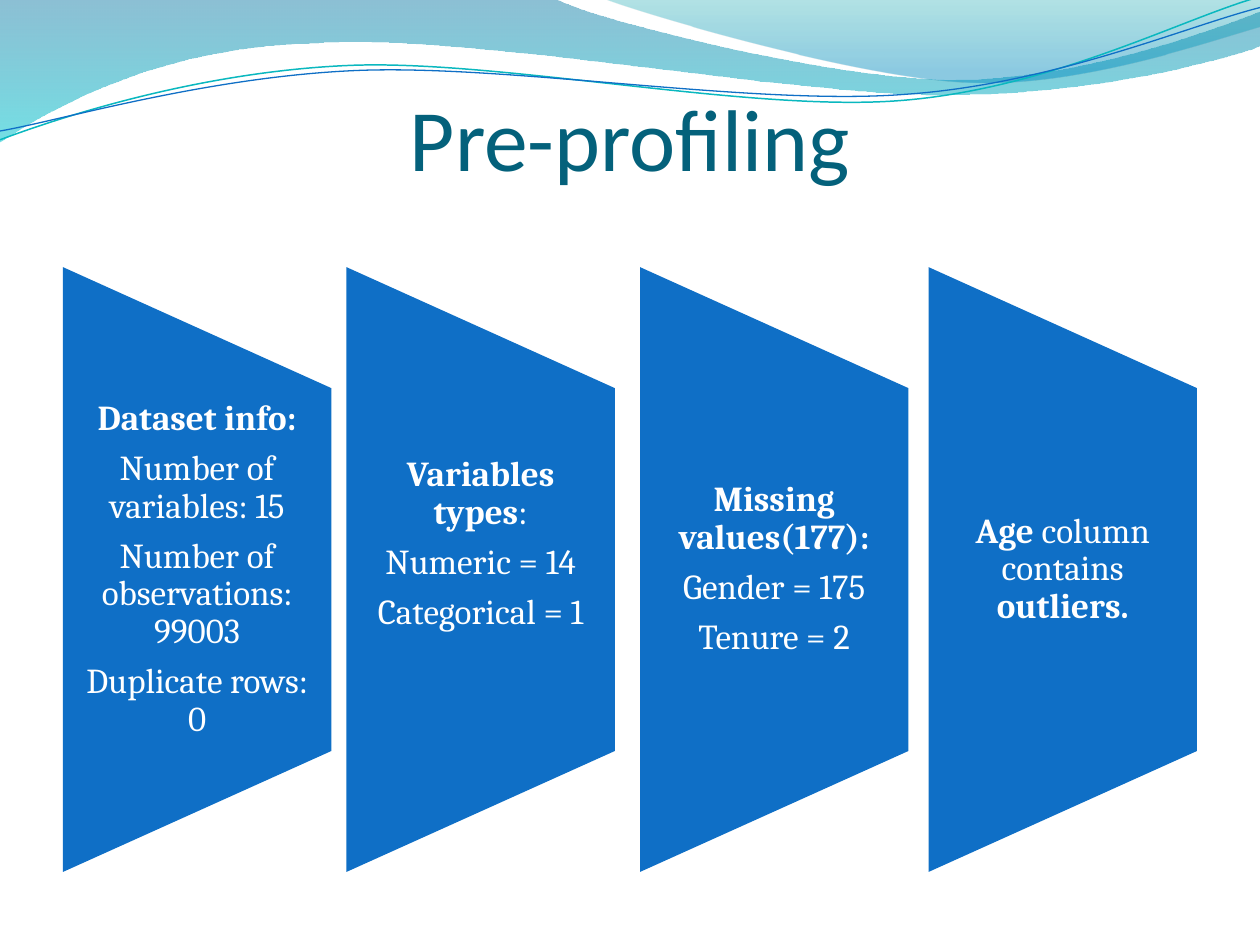
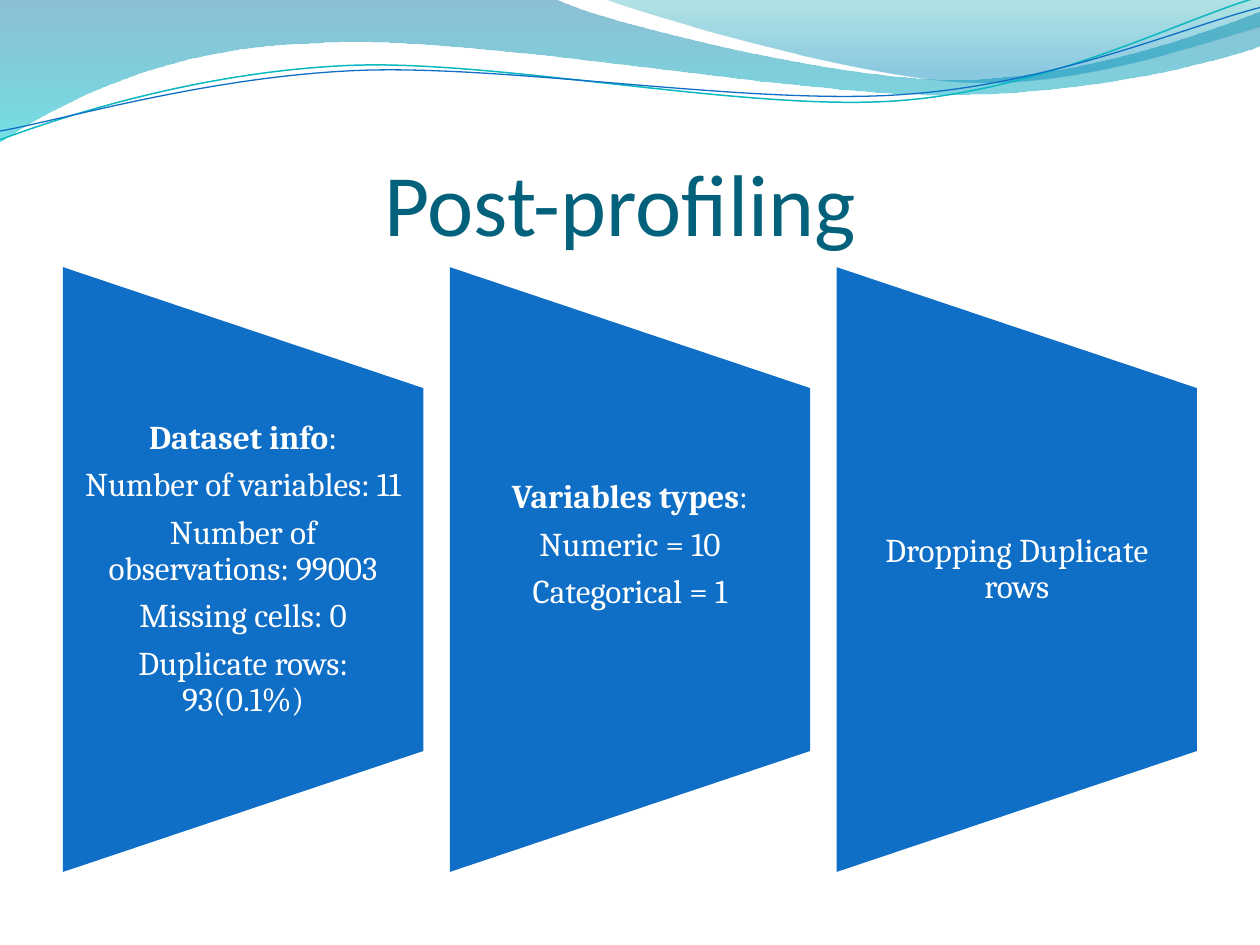
from lxml import etree
from pptx import Presentation
from pptx import util as u
from pptx.dml.color import RGBColor
from pptx.enum import shapes, text
from pptx.oxml.ns import qn

BLUE, TEAL, WHITE = "0F6FC6", "04617B", "FFFFFF"


def rgb(value):
    return RGBColor.from_string(value)


def write(tf, lines, size, font, color, spacing=1.0, after=0, anchor=text.MSO_ANCHOR.MIDDLE,
          insets=(0, 0, 0, 0)):
    """Write centred paragraphs; words between asterisks are bold."""
    tf.word_wrap = True
    tf.auto_size = text.MSO_AUTO_SIZE.NONE
    tf.vertical_anchor = anchor
    tf.margin_left, tf.margin_top, tf.margin_right, tf.margin_bottom = map(u.Inches, insets)
    for i, line in enumerate(lines):
        p = tf.paragraphs[0] if i == 0 else tf.add_paragraph()
        p.alignment = text.PP_ALIGN.CENTER
        p.line_spacing = spacing
        p.space_before, p.space_after = u.Pt(0), u.Pt(after)
        for j, part in enumerate(line.split("*")):
            if part:
                r = p.add_run()
                r.text = part
                r.font.size, r.font.name, r.font.bold = u.Pt(size), font, j % 2 == 1
                r.font.color.rgb = rgb(color)


prs = Presentation()
prs.slide_width, prs.slide_height = u.Inches(10), u.Inches(7.5)
layout = prs.slide_layouts[5]

# Header waves: start point, then curves (three points) and lines (one point)
waves = [
    dict(start=(0, 0), stops=[(0, "0074A1", 45), (1, "00C6CF", 55)], parts=[
        [(4.4, -0.01)],
        [(4.76, 0.17), (6.64, 0.63), (7.58, 0.63)],
        [(8.53, 0.63), (9.58, 0.26), (10, 0.09)],
        [(10.01, 0.36)],
        [(9.83, 0.44), (8.7, 0.76), (7.46, 0.75)],
        [(6.22, 0.75), (3.82, 0.28), (2.57, 0.34)],
        [(1.29, 0.36), (0.46, 0.83), (-0.01, 1.13)],
        [(0, 0)]]),
    dict(start=(4.79, -0.01), stops=[(0, "00A1A9", 30), (0.8, "008BBF", 45)], parts=[
        [(5.09, 0.11), (6.82, 0.62), (7.69, 0.65)],
        [(8.56, 0.69), (9.61, 0.32), (10, 0.21)],
        [(10, 0)],
        [(4.79, -0.01)]]),
    dict(start=(0, 1.11), line=("0AB8BF", 0.85), parts=[
        [(0.48, 0.93), (1.58, 0.57), (2.77, 0.52)],
        [(3.95, 0.47), (5.93, 0.89), (7.13, 0.8)],
        [(8.33, 0.71), (9.38, 0.15), (9.98, -0.02)]]),
    dict(start=(0, 1.04), line=(BLUE, 0.75), parts=[
        [(0.47, 0.96), (1.64, 0.61), (2.83, 0.56)],
        [(4.03, 0.51), (5.97, 0.84), (7.17, 0.75)],
        [(8.36, 0.67), (9.41, 0.21), (10, 0.06)]]),
]

# Slide contents: column left edges, width, text size and side inset
pages = [
    dict(title="Pre-profiling", title_top=0.25, lefts=[0.5, 2.75, 5.08, 7.37], width=2.13,
         size=20, inset=0.14, columns=[
             ["*Dataset info:*", "Number of variables: 15", "Number of observations: 99003",
              "Duplicate rows: 0"],
             ["*Variables types*:", "Numeric = 14", "Categorical = 1"],
             ["*Missing values(177):*", "Gender = 175", "Tenure = 2"],
             ["*Age* column contains *outliers.*"]]),
    dict(title="Post-profiling ", title_top=0.77, lefts=[0.5 + 3.07 * i for i in range(3)],
         width=2.86, size=19, inset=0.13, columns=[
             ["*Dataset info*:", "Number of variables: 11", "Number of observations: 99003",
              "Missing cells: 0", "Duplicate rows: 93(0.1%)"],
             ["*Variables types*:", "Numeric = 10", "Categorical = 1"],
             ["Dropping Duplicate rows"]]),
]
slides = [prs.slides.add_slide(layout) for page in pages]

# Draw the waves once and move them to the shared layout
for i, wave in enumerate(waves):
    points = [(u.Inches(x), u.Inches(y)) for x, y in [wave["start"], *sum(wave["parts"], [])]]
    builder = slides[0].shapes.build_freeform(*points[0])
    builder.add_line_segments(points[1:], close="stops" in wave)
    sp = builder.convert_to_shape()

    # Join each three points of a curve into one Bezier segment
    segments = iter(list(sp.element.iter(qn("a:lnTo"))))
    for part in wave["parts"]:
        first, *others = [next(segments) for _ in part]
        if others:
            first.tag = qn("a:cubicBezTo")
        for segment in others:
            first.append(segment[0])
            segment.getparent().remove(segment)

    sp.shadow.inherit = False
    if "stops" in wave:
        sp.line.fill.background()
        sp.fill.gradient()
        sp.fill.gradient_angle = 270
        for stop, (position, color, _) in zip(sp.fill.gradient_stops, wave["stops"]):
            stop.position, stop.color.rgb = position, rgb(color)
        for clr, (_, _, alpha) in zip(sp.element.iter(qn("a:srgbClr")), wave["stops"]):
            etree.SubElement(clr, qn("a:alpha")).set("val", str(alpha * 1000))
    else:
        color, width = wave["line"]
        sp.fill.background()
        sp.line.color.rgb, sp.line.width = rgb(color), u.Pt(width)
    sp.element.nvSpPr.cNvPr.set("id", str(100 + i))
    layout.shapes.element.insert(2 + i, sp.element)

for s, page in zip(slides, pages):
    # Title
    title = s.shapes.title
    title.left, title.top = u.Inches(0.5), u.Inches(page["title_top"])
    title.width, title.height = u.Inches(9), u.Inches(1.25)
    write(title.text_frame, [page["title"]], 50, "Calibri", TEAL,
          anchor=text.MSO_ANCHOR.BOTTOM, insets=(0, 0.05, 0, 0))

    # Turned trapezoids with upright text
    width, size, inset = page["width"], page["size"], page["inset"]
    for left, lines in zip(page["lefts"], page["columns"]):
        sp = s.shapes.add_shape(
            shapes.MSO_SHAPE.FLOWCHART_MANUAL_OPERATION,
            u.Inches(left + width / 2 - 2.4), u.Inches(4.52 - width / 2),
            u.Inches(4.8), u.Inches(width))
        sp.rotation = 270
        sp.shadow.inherit = False
        sp.fill.solid()
        sp.fill.fore_color.rgb = rgb(BLUE)
        sp.line.fill.background()

        box = s.shapes.add_textbox(u.Inches(left), u.Inches(3.08), u.Inches(width),
                                   u.Inches(2.88))
        # The variable types sit one line above the middle
        raised = 0.02 * size if "Variables" in lines[0] else 0
        write(box.text_frame, lines, size, "Cambria", WHITE, spacing=0.9, after=0.35 * size,
              insets=(inset, 0, inset, raised))

prs.save("out.pptx")
